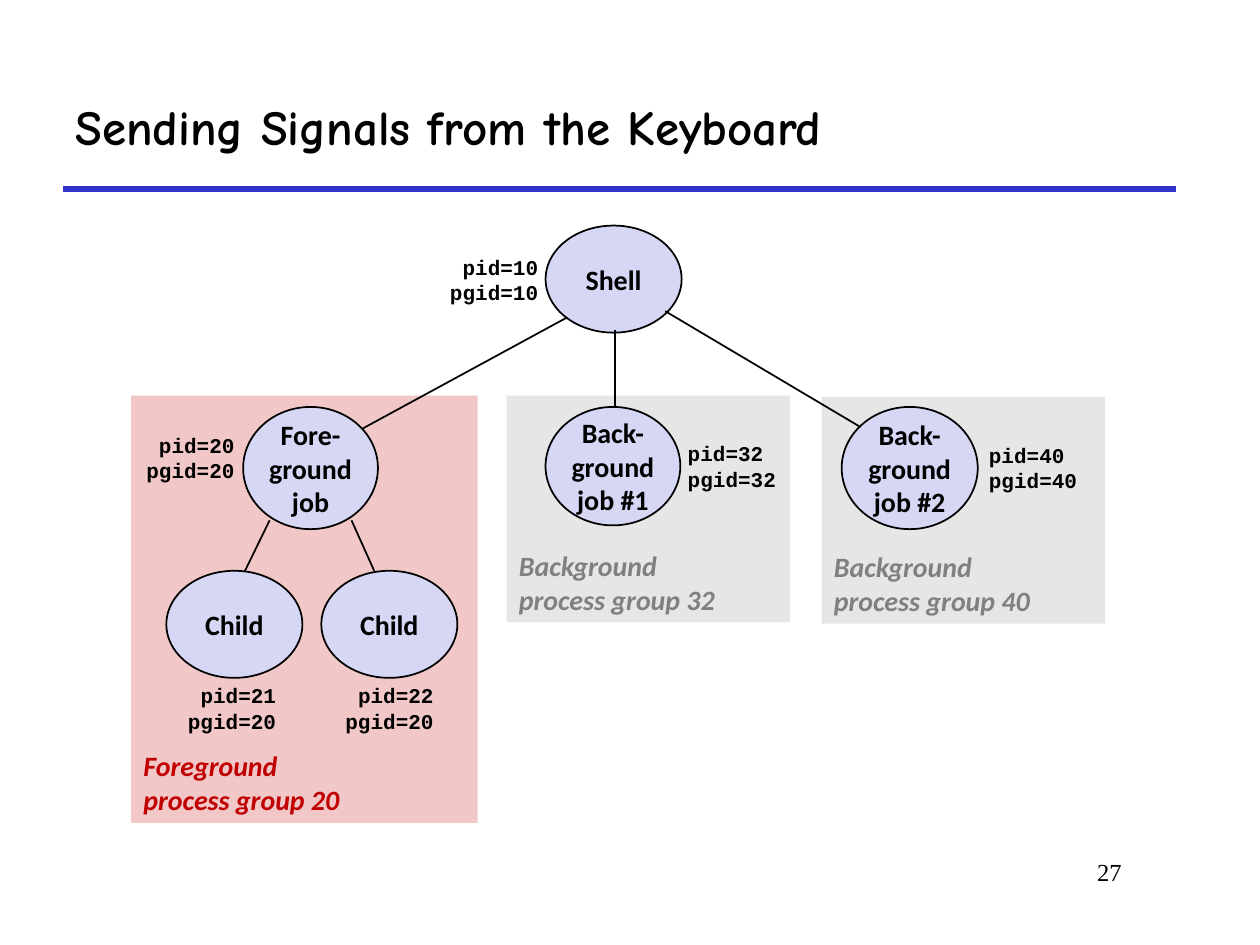
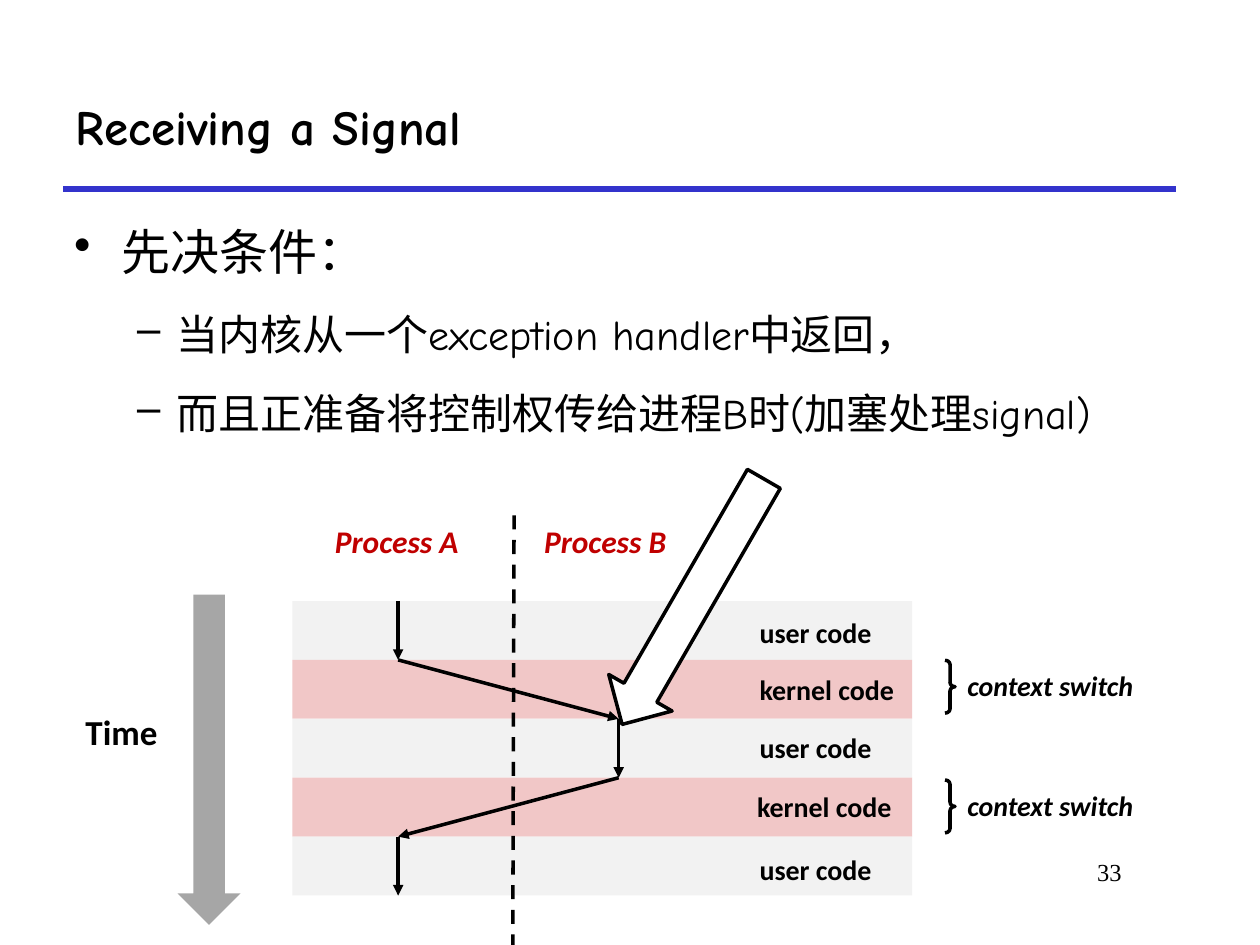
from dataclasses import dataclass
from itertools import pairwise

from lxml.etree import SubElement
from pptx import Presentation
from pptx.dml.color import RGBColor
from pptx.enum.dml import MSO_LINE
from pptx.enum.shapes import MSO_CONNECTOR, MSO_SHAPE
from pptx.enum.text import MSO_ANCHOR, MSO_AUTO_SIZE, PP_ALIGN
from pptx.oxml.ns import qn
from pptx.util import Inches, Pt

CELL = Inches(10) / 40
BLACK = RGBColor(0x00, 0x00, 0x00)
WHITE = RGBColor(0xFF, 0xFF, 0xFF)
RULE_BLUE = RGBColor(0x33, 0x33, 0xCC)
LAVENDER = RGBColor(0xD6, 0xD6, 0xF5)
PINK = RGBColor(0xF1, 0xC7, 0xC7)
RED = RGBColor(0xC0, 0x00, 0x00)
GROUP_GRAY = RGBColor(0xE6, 0xE6, 0xE6)
BAND_GRAY = RGBColor(0xF2, 0xF2, 0xF2)
TEXT_GRAY = RGBColor(0x80, 0x80, 0x80)
ARROW_GRAY = RGBColor(0xA6, 0xA6, 0xA6)


@dataclass(frozen=True)
class Box:
    """A region measured in cells of the 40 by 30 slide grid."""
    left: float
    top: float
    width: float
    height: float

    def inner(self, left, top, width, height):
        """Return a box offset from this one's corner."""
        return Box(self.left + left, self.top + top, width, height)

    def point(self, x, y):
        """Return a grid point offset from this box's corner."""
        return self.left + x, self.top + y

    def emu(self):
        """Return left, top, width and height in EMU."""
        return [round(n * CELL) for n in (self.left, self.top, self.width, self.height)]


@dataclass(frozen=True)
class Style:
    """Character formatting of a run."""
    font: str
    size: float
    color: RGBColor = BLACK
    bold: bool = False
    italic: bool = False


TITLE = Style("Comic Neue", 28, bold=True)
PAGE = Style("Times New Roman", 14)
NODE = Style("Calibri", 16, bold=True)
PID = Style("Courier New", 12, bold=True)
PROCESS = Style("Calibri", 18, RED, True, True)
SWITCH = Style("Calibri", 16, bold=True, italic=True)
TIME = Style("Calibri", 20, bold=True)


def add_run(paragraph, text, style):
    """Append one formatted run."""
    run = paragraph.add_run()
    run.text = text
    font = run.font
    font.name, font.size = style.font, Pt(style.size)
    font.bold, font.italic = style.bold, style.italic
    font.color.rgb = style.color


def write(frame, lines, style, align=PP_ALIGN.LEFT, anchor=MSO_ANCHOR.TOP, wrap=False):
    """Fill a text frame with one paragraph per line."""
    frame.word_wrap, frame.vertical_anchor = wrap, anchor
    frame.auto_size = MSO_AUTO_SIZE.NONE
    for index, line in enumerate(lines):
        paragraph = frame.add_paragraph() if index else frame.paragraphs[0]
        paragraph.alignment = align
        paragraph.space_before = paragraph.space_after = Pt(0)
        add_run(paragraph, line, style)


def add_label(slide, box, lines, style, **layout):
    """Add a text box."""
    write(slide.shapes.add_textbox(*box.emu()).text_frame, lines, style, **layout)


def add_figure(slide, kind, box, fill=None, line_width=0):
    """Add a flat preset shape."""
    figure = slide.shapes.add_shape(kind, *box.emu())
    figure.shadow.inherit = False
    if fill is None:
        figure.fill.background()
    else:
        figure.fill.solid()
        figure.fill.fore_color.rgb = fill
    if line_width:
        figure.line.color.rgb = BLACK
        figure.line.width = Pt(line_width)
    else:
        figure.line.fill.background()
    return figure


def add_line(slide, start, end, width=1, color=BLACK, dash=None, arrow=False):
    """Connect two grid points with a straight line."""
    ends = [round(n * CELL) for n in (*start, *end)]
    connector = slide.shapes.add_connector(MSO_CONNECTOR.STRAIGHT, *ends)
    connector.line.color.rgb = color
    connector.line.width = Pt(width)
    if dash:
        connector.line.dash_style = dash
    properties = connector._element.spPr
    if arrow:
        SubElement(properties.find(qn("a:ln")), qn("a:tailEnd"), type="triangle")
    SubElement(properties, qn("a:effectLst"))


def add_titled_slide(deck, title, page):
    """Start a slide with its title, rule and page number."""
    slide = deck.slides.add_slide(deck.slide_layouts[5])
    heading = slide.shapes.title
    heading.left, heading.top, heading.width, heading.height = Box(2, 2, 35.32, 4).emu()
    write(heading.text_frame, [title], TITLE, anchor=MSO_ANCHOR.MIDDLE, wrap=True)
    add_line(slide, (2, 6), (37.32, 6), 3, RULE_BLUE)
    add_label(slide, Box(30.32, 27, 5.68, 2), [str(page)], PAGE,
              align=PP_ALIGN.RIGHT, wrap=True)
    return slide


def add_process(slide, box, lines):
    """Draw a process as a named ellipse."""
    ellipse = add_figure(slide, MSO_SHAPE.OVAL, box, LAVENDER, 1)
    write(ellipse.text_frame, lines, NODE, PP_ALIGN.CENTER, MSO_ANCHOR.MIDDLE)


def add_ids(slide, box, left, top, pid, pgid, align=PP_ALIGN.RIGHT):
    """Write process and group ids within a box."""
    add_label(slide, box.inner(left, top, 3.64, 2), [f"pid={pid}", f"pgid={pgid}"],
              PID, align=align, anchor=MSO_ANCHOR.MIDDLE)


def add_group(slide, box, kind, number, fill, color):
    """Draw a process group's panel with its caption at the bottom."""
    add_figure(slide, MSO_SHAPE.RECTANGLE, box, fill)
    add_label(slide, box.inner(0, box.height - 2.56, 7.5, 2.56),
              [kind, f"process group {number}"],
              Style("Calibri", 16, color, True, True), anchor=MSO_ANCHOR.MIDDLE)


def add_foreground(slide, box):
    """Draw the foreground job and its two children."""
    add_group(slide, box, "Foreground", 20, PINK, RED)
    add_process(slide, box.inner(3.56, 0.36, 4.28, 3.88), ["Fore-", "ground", "job"])
    add_ids(slide, box, 0.04, 0.96, 20, 20)
    for child, (start, end) in enumerate([((4.4, 3.96), (3.6, 5.6)),
                                          ((7, 3.96), (7.72, 5.56))]):
        add_process(slide, box.inner(1.12 + 4.92 * child, 5.56, 4.32, 3.4), ["Child"])
        add_line(slide, box.point(*start), box.point(*end))
        add_ids(slide, box, 1.36 + 5 * child, 8.92, 21 + child, 20)


def add_background(slide, box, job, number, job_box, ids_left):
    """Draw one background job in its group."""
    add_group(slide, box, "Background", number, GROUP_GRAY, TEXT_GRAY)
    add_process(slide, box.inner(*job_box), ["Back-", "ground", f"job #{job}"])
    add_ids(slide, box, ids_left, 1.24, number, number, PP_ALIGN.LEFT)


def add_shell(slide, box):
    """Draw the shell and its links to the three jobs."""
    add_process(slide, box, ["Shell"])
    add_ids(slide, box, -3.48, 0.72, 10, 10)
    for start, end in [((0.68, 2.92), (-5.8, 6.44)),
                       ((2.2, 3.32), (2.2, 5.76)),
                       ((3.8, 2.72), (10, 6.4))]:
        add_line(slide, box.point(*start), box.point(*end))


def add_conditions(slide, box):
    """Write the bulleted preconditions."""
    frame = slide.shapes.add_textbox(*box.emu()).text_frame
    frame.word_wrap = True
    conditions = [
        (0, "•", 28, ["先决条件："]),
        (1, "–", 24, ["当内核从一个", "exception handler", "中返回，"]),
        (1, "–", 24, ["而且正准备将控制权传给进程", "B", "时", "(", "加塞处理", "signal)"]),
    ]
    hanging = [(0.38, -0.38), (0.81, -0.31)]
    for index, (level, bullet, size, pieces) in enumerate(conditions):
        paragraph = frame.add_paragraph() if index else frame.paragraphs[0]
        paragraph.level = level
        paragraph.line_spacing = 1.4
        paragraph.space_before, paragraph.space_after = Pt(size * 0.2), Pt(0)
        for piece in pieces:
            add_run(paragraph, piece, Style("Comic Neue", size))
        properties = paragraph._p.get_or_add_pPr()
        margin, indent = hanging[level]
        properties.set("marL", str(Inches(margin)))
        properties.set("indent", str(Inches(indent)))
        SubElement(properties, qn("a:buChar"), char=bullet)


def add_time_axis(slide, box):
    """Draw the downward time arrow with its name."""
    add_label(slide, box.inner(0, 3.48, 3.56, 2), ["Time"], TIME)
    add_figure(slide, MSO_SHAPE.DOWN_ARROW, box.inner(3.32, 0, 2, box.height), ARROW_GRAY)


def add_timeline(slide, box):
    """Draw code bands, the control flow and the context switches."""
    row = box.height / 5
    label_spots = [(14.44, 0.28), (14.44, 2.08), (14.44, 3.92), (14.36, 5.8), (14.44, 7.8)]
    for band, (left, top) in enumerate(label_spots):
        in_kernel = band % 2
        add_figure(slide, MSO_SHAPE.RECTANGLE, box.inner(0, band * row, box.width, row),
                   PINK if in_kernel else BAND_GRAY)
        add_label(slide, box.inner(left, top, 5.12, 1.48),
                  ["kernel code" if in_kernel else "user code"], NODE)
    for name, left in [("Process A", 0.96), ("Process B", 7.6)]:
        add_label(slide, box.inner(left, -2.72, 4.8, 1.6), [name], PROCESS)
    add_line(slide, box.point(7.04, -2.72), box.point(7, 10.92), 2, dash=MSO_LINE.DASH)
    process_a, process_b = 3.36, 10.36
    flow = [process_a, process_a, process_b, process_b, process_a, process_a]
    stops = [box.point(x, step * row) for step, x in enumerate(flow)]
    for start, end in pairwise(stops):
        add_line(slide, start, end, 2, arrow=True)
    for top in (1.88, 5.68):
        brace = add_figure(slide, MSO_SHAPE.RIGHT_BRACE,
                           box.inner(20.72, top, 0.32, 1.68), line_width=2)
        brace.adjustments[0] = 0.42
        add_label(slide, box.inner(21.04, top + 0.08, 6.16, 1.48),
                  ["context switch"], SWITCH)


def add_signal_pointer(slide, box):
    """Point to the moment when the signal is handled."""
    pointer = add_figure(slide, MSO_SHAPE.DOWN_ARROW, box, WHITE, 2)
    pointer.adjustments[0] = 0.52
    pointer.rotation = 30


def build_keyboard_slide(deck):
    """Build the process group tree."""
    slide = add_titled_slide(deck, "Sending Signals from the Keyboard", 27)
    add_background(slide, Box(26.08, 12.6, 9, 7.2), 2, 40, (0.64, 0.32, 4.32, 3.88), 4.92)
    add_background(slide, Box(16.08, 12.56, 9, 7.2), 1, 32, (1.24, 0.36, 4.28, 3.76), 5.36)
    add_foreground(slide, Box(4.16, 12.56, 11, 13.56))
    add_shell(slide, Box(17.32, 7.16, 4.32, 3.4))


def build_receiving_slide(deck):
    """Build the signal reception timeline."""
    slide = add_titled_slide(deck, "Receiving a Signal", 33)
    add_conditions(slide, Box(1.96, 6.08, 35.32, 19.32))
    add_time_axis(slide, Box(2.32, 18.88, 5.32, 10.48))
    add_timeline(slide, Box(9.28, 19.08, 19.68, 9.35))
    add_signal_pointer(slide, Box(20.84, 14.6, 2.32, 9))


def main():
    """Build and save the deck."""
    deck = Presentation()
    deck.slide_width, deck.slide_height = Inches(10), Inches(7.5)
    build_keyboard_slide(deck)
    build_receiving_slide(deck)
    deck.save("out.pptx")


if __name__ == "__main__":
    main()
